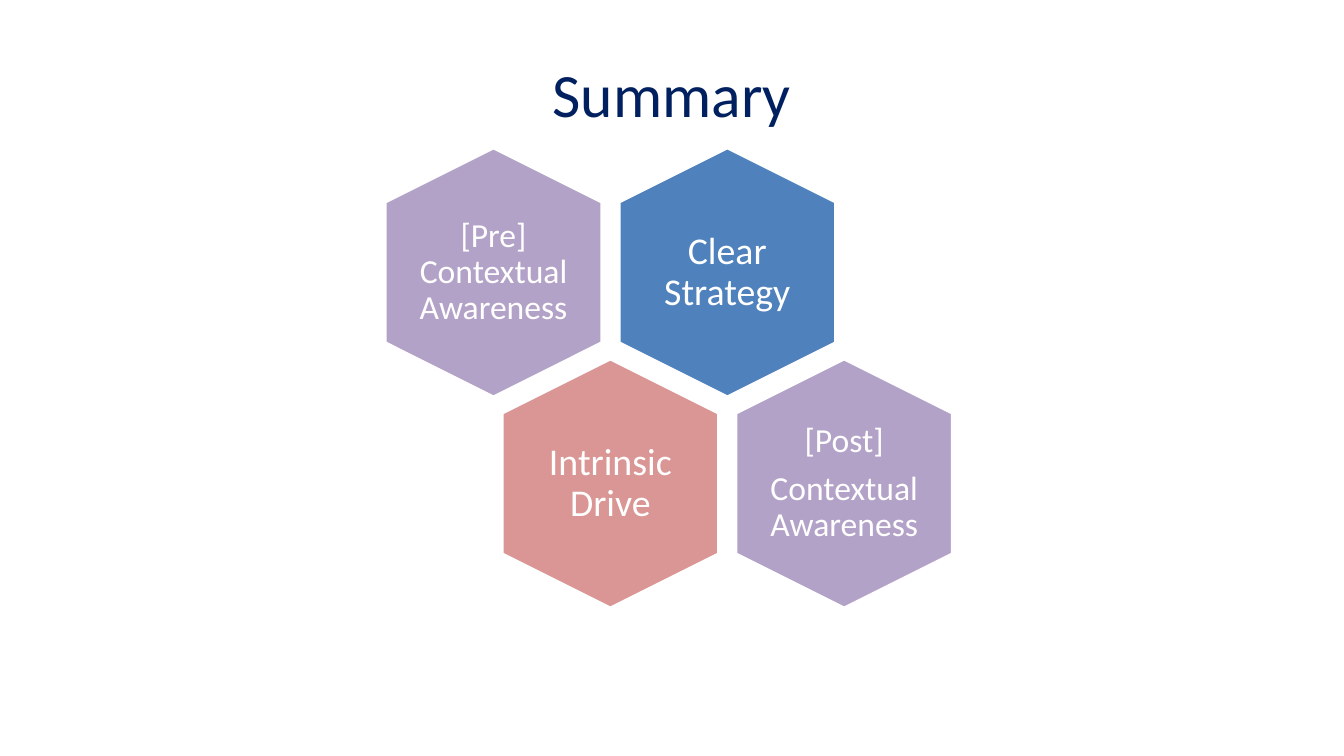
from pptx import Presentation
from pptx.dml.color import RGBColor
from pptx.enum.shapes import MSO_SHAPE
from pptx.enum.text import MSO_ANCHOR, PP_ALIGN
from pptx.util import Pt

HEXAGON = MSO_SHAPE.HEXAGON
MIDDLE = MSO_ANCHOR.MIDDLE
CENTER = PP_ALIGN.CENTER

WHITE = RGBColor(0xFF, 0xFF, 0xFF)
NAVY = RGBColor(0x00, 0x20, 0x60)
BLUE = RGBColor(0x4F, 0x81, 0xBD)
PURPLE = RGBColor(0xB3, 0xA2, 0xC7)
ROSE = RGBColor(0xD9, 0x96, 0x94)

FONT = "Calibri"
HEX_W, HEX_H = 177.8, 154.6
LABEL_W, LABEL_H = 106.4, 122.4
FIRST_X, FIRST_Y = 352.5, 194.6
STEP_X, STEP_Y = 167, 150.8


def add_label(left, top, width, height, lines, size, color, inset):
    """Add a centred text box and return its paragraphs."""
    tf = s.shapes.add_textbox(Pt(left), Pt(top), Pt(width), Pt(height)).text_frame
    tf.word_wrap = True
    tf.vertical_anchor = MIDDLE
    tf.margin_left = tf.margin_right = Pt(inset)
    tf.margin_top = tf.margin_bottom = Pt(inset)
    for i, line in enumerate(lines):
        p = tf.add_paragraph() if i else tf.paragraphs[0]
        p.alignment = CENTER
        r = p.add_run()
        r.text = line
        r.font.name = FONT
        r.font.size = Pt(size)
        r.font.color.rgb = color
    return tf.paragraphs


prs = Presentation()
prs.slide_width, prs.slide_height = Pt(960), Pt(540)
s = prs.slides.add_slide(prs.slide_layouts[6])

add_label(48, 21.6, 864, 90, ["Summary"], 44, NAVY, 3.6)

# Column (in hexagon steps), row, fill, paragraphs, text size, text inset
hexagons = [
    (1, 0, BLUE, ["Clear Strategy"], 27, 8),
    (0, 0, PURPLE, ["[Pre] Contextual Awareness"], 24, 0),
    (0.5, 1, ROSE, ["Intrinsic Drive"], 27, 8),
    (1.5, 1, PURPLE, ["[Post]", "Contextual Awareness"], 24, 0),
]
for col, row, fill, lines, size, inset in hexagons:
    x = FIRST_X + col * STEP_X
    y = FIRST_Y + row * STEP_Y
    sp = s.shapes.add_shape(HEXAGON, Pt(x - HEX_W / 2), Pt(y - HEX_H / 2),
                            Pt(HEX_W), Pt(HEX_H))
    sp.rotation = 90
    sp.adjustments[0] = 0.25
    sp.shadow.inherit = False
    sp.fill.solid()
    sp.fill.fore_color.rgb = fill
    sp.line.color.rgb = WHITE
    sp.line.width = Pt(2)
    for p in add_label(x - LABEL_W / 2, y - LABEL_H / 2, LABEL_W, LABEL_H,
                       lines, size, WHITE, inset):
        p.line_spacing = 0.9
        p.space_after = Pt(0.35 * size)

prs.save("out.pptx")
